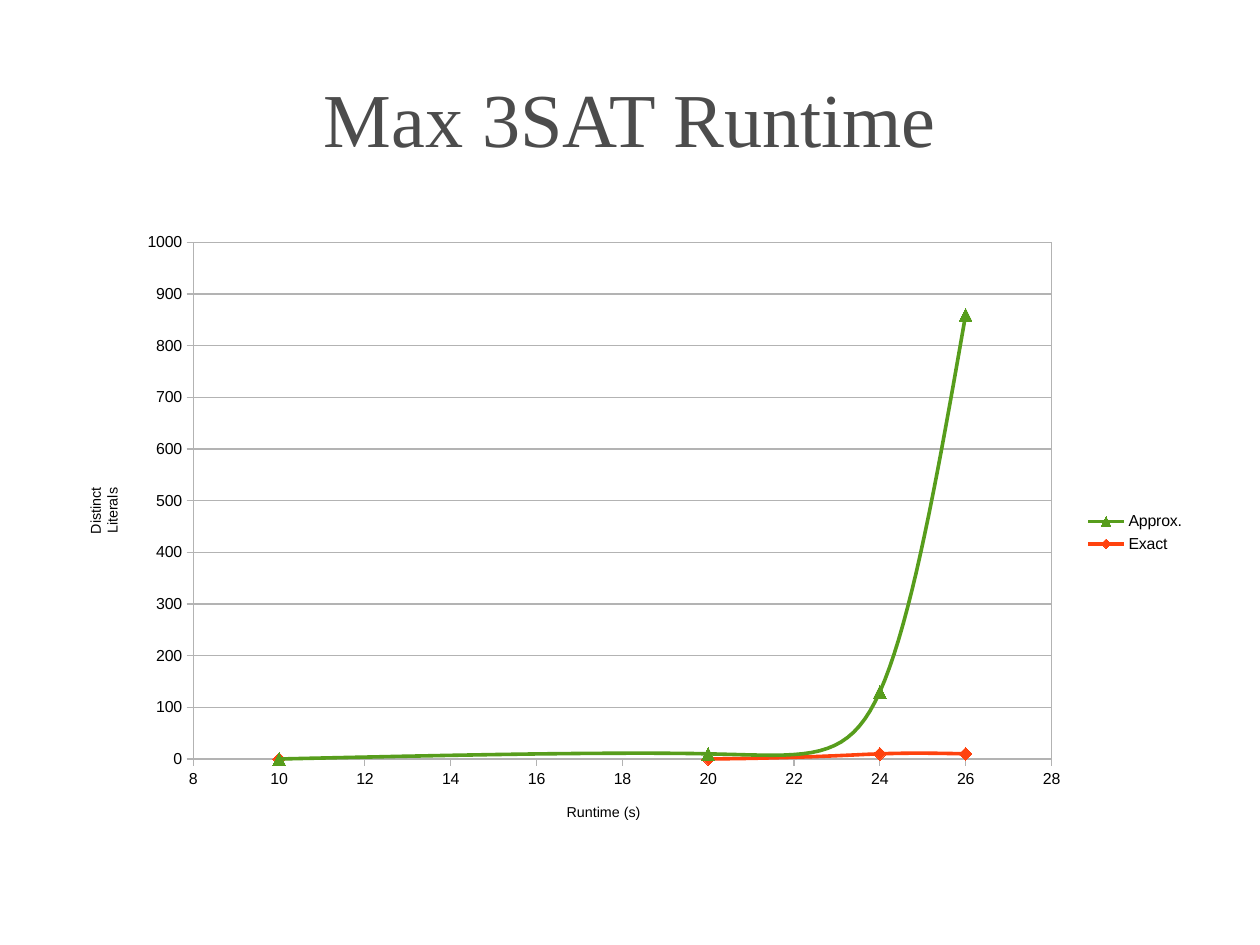
import pptx
import pptx.chart.data
import pptx.dml.color
import pptx.enum.chart
import pptx.enum.text
import pptx.oxml
import pptx.oxml.ns
import pptx.util
from lxml import etree

Inches = pptx.util.Inches
Pt = pptx.util.Pt
qn = pptx.oxml.ns.qn
MARKERS = pptx.enum.chart.XL_MARKER_STYLE

CM_PER_INCH = 2.54
GRID_GREY = "B3B3B3"
LITERALS = (10, 20, 24, 26)
RUNTIMES = (
    ("Approx.", (0, 10, 130, 860), "579D1C", MARKERS.TRIANGLE),
    ("Exact", (0, 0, 10, 10), "FF420E", MARKERS.DIAMOND),
)


def rgb(value):
    return pptx.dml.color.RGBColor.from_string(value)


def style_font(font, size, color="000000", name="Arial"):
    font.size, font.name, font.bold = Pt(size), name, False
    font.color.rgb = rgb(color)


def style_line(line, color, width):
    line.color.rgb = rgb(color)
    line.width = Pt(width)


def place(part, index, **fractions):
    """Give a chart part a manual layout in fractions of the chart."""
    layout = part.find(qn("c:layout"))
    if layout is None:
        layout = etree.Element(qn("c:layout"))
        part.insert(index, layout)
    manual = etree.SubElement(layout, qn("c:manualLayout"))
    if "w" in fractions:
        etree.SubElement(manual, qn("c:layoutTarget"), val="inner")
    for key in ("x", "y"):
        etree.SubElement(manual, qn(f"c:{key}Mode"), val="edge")
    for key, fraction in fractions.items():
        etree.SubElement(manual, qn(f"c:{key}"), val=str(fraction))


def smooth_curve(series):
    """Turn on curve smoothing, which scatter series lack as a property."""
    element = series._element
    smooth = element.find(qn("c:smooth"))
    if smooth is None:
        smooth = etree.SubElement(element, qn("c:smooth"))
    smooth.set("val", "1")


def style_axis(axis, title, x, y, low, high, step):
    axis.minimum_scale, axis.maximum_scale, axis.major_unit = low, high, step
    axis.major_tick_mark = pptx.enum.chart.XL_TICK_MARK.OUTSIDE
    axis.minor_tick_mark = pptx.enum.chart.XL_TICK_MARK.NONE
    style_font(axis.tick_labels.font, 10)
    style_line(axis.format.line, GRID_GREY, 0)
    frame = axis.axis_title.text_frame
    frame.text = title
    for paragraph in frame.paragraphs:
        style_font(paragraph.font, 9)
        for run in paragraph.runs:
            style_font(run.font, 9)
    place(axis.axis_title._element, 1, x=x, y=y)


def frame_plot(plot_area):
    """Outline the plot area in the colour of the grid."""
    plot_area.append(pptx.oxml.parse_xml(
        f'<c:spPr {pptx.oxml.ns.nsdecls("c", "a")}><a:noFill/><a:ln w="0">'
        f'<a:solidFill><a:srgbClr val="{GRID_GREY}"/></a:solidFill></a:ln></c:spPr>'))


def add_title(slide, left, top, width, height):
    frame = slide.shapes.add_textbox(left, top, width, height).text_frame
    frame.word_wrap = True
    frame.margin_left = frame.margin_right = frame.margin_top = frame.margin_bottom = 0
    frame.vertical_anchor = pptx.enum.text.MSO_ANCHOR.MIDDLE
    heading = frame.paragraphs[0]
    heading.text = "Max 3SAT Runtime"
    heading.alignment = pptx.enum.text.PP_ALIGN.CENTER
    style_font(heading.runs[0].font, 48, "4C4C4C", "Times New Roman")


def add_runtime_chart(slide, left, top, width, height):
    data = pptx.chart.data.XyChartData()
    for name, values, _, _ in RUNTIMES:
        points = data.add_series(name)
        for literals, value in zip(LITERALS, values):
            points.add_data_point(literals, value)
    chart = slide.shapes.add_chart(
        pptx.enum.chart.XL_CHART_TYPE.XY_SCATTER_SMOOTH,
        left, top, width, height, data).chart
    chart.has_title = False
    style_font(chart.font, 10)
    chart.plots[0].vary_by_categories = False

    for series, (_, _, color, marker) in zip(chart.plots[0].series, RUNTIMES):
        smooth_curve(series)
        style_line(series.format.line, color, 2.27)
        series.marker.style, series.marker.size = marker, 8
        series.marker.format.fill.solid()
        series.marker.format.fill.fore_color.rgb = rgb(color)
        series.marker.format.line.color.rgb = rgb(color)

    style_axis(chart.category_axis, "Runtime (s)", 0.442, 0.929, 8, 28, 2)
    style_axis(chart.value_axis, "Distinct\nLiterals", 0.017, 0.422, 0, 1000, 100)
    chart.category_axis.has_major_gridlines = False
    style_line(chart.value_axis.major_gridlines.format.line, GRID_GREY, 0)
    chart.value_axis.axis_title.text_frame._txBody.bodyPr.set("rot", "-5400000")

    plot_area = chart._chartSpace.chart.plotArea
    place(plot_area, 0, x=0.115, y=0.035, w=0.757, h=0.828)
    frame_plot(plot_area)

    chart.has_legend = True
    chart.legend.position = pptx.enum.chart.XL_LEGEND_POSITION.RIGHT
    chart.legend.include_in_layout = False
    style_font(chart.legend.font, 10)


def main():
    deck = pptx.Presentation()
    deck.slide_width = Inches(28 / CM_PER_INCH)
    deck.slide_height = Inches(21 / CM_PER_INCH)
    slide = deck.slides.add_slide(deck.slide_layouts[6])
    add_title(slide, Inches(0.55), Inches(0.33), Inches(9.92), Inches(1.38))
    add_runtime_chart(slide, Inches(0.55), Inches(1.93), Inches(9.92), Inches(5.46))
    deck.save("out.pptx")


if __name__ == "__main__":
    main()
